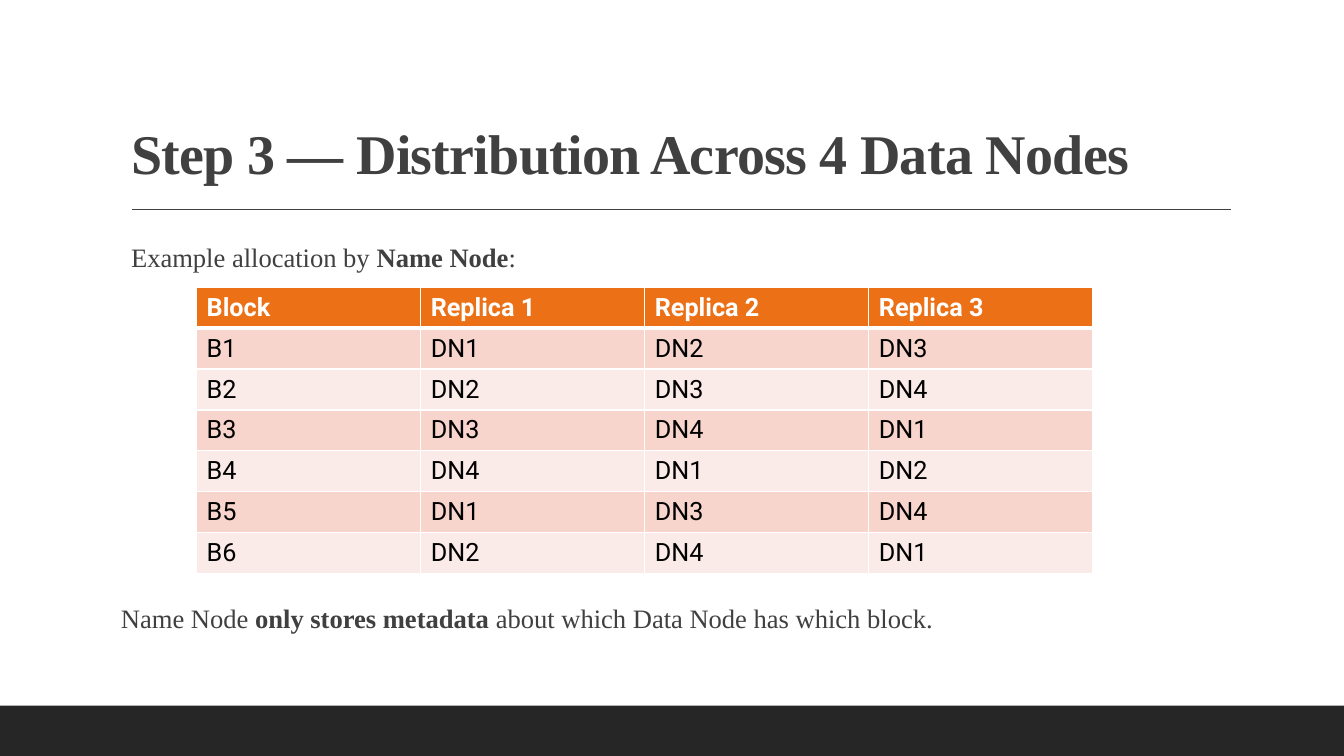
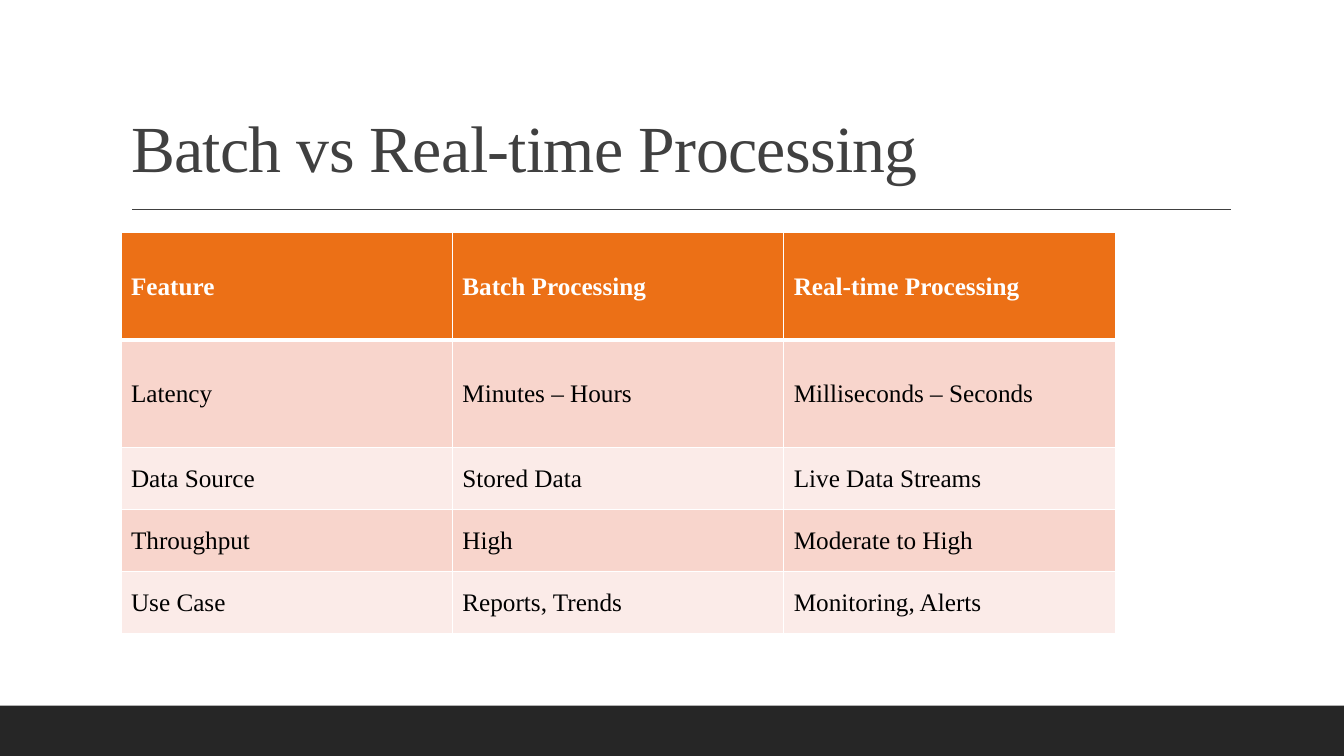
from lxml import etree
from pptx import Presentation
from pptx.dml.color import RGBColor
from pptx.enum.shapes import MSO_CONNECTOR, MSO_SHAPE
from pptx.enum.text import MSO_ANCHOR, MSO_AUTO_SIZE, PP_ALIGN
from pptx.oxml.ns import qn
from pptx.util import Inches, Pt

LEFT = PP_ALIGN.LEFT
TOP, MIDDLE, BOTTOM = MSO_ANCHOR.TOP, MSO_ANCHOR.MIDDLE, MSO_ANCHOR.BOTTOM
NO_AUTOFIT = MSO_AUTO_SIZE.NONE
RECTANGLE = MSO_SHAPE.RECTANGLE
STRAIGHT = MSO_CONNECTOR.STRAIGHT

WHITE = RGBColor(0xFF, 0xFF, 0xFF)
BLACK = RGBColor(0x00, 0x00, 0x00)
INK = RGBColor(0x40, 0x40, 0x40)
BAND = RGBColor(0x26, 0x26, 0x26)
ORANGE = RGBColor(0xEC, 0x70, 0x16)
STRIPES = (RGBColor(0xF8, 0xD5, 0xCC), RGBColor(0xFB, 0xEB, 0xE8))
SERIF, SANS = "Times New Roman", "Roboto"

WIDTH, HEIGHT = 13.33, 7.5
MARGIN, CONTENT_TOP, CONTENT_WIDTH = 1.2, 2.31, 11
TITLE_ONLY, TITLE_AND_BODY = 5, 1

SLIDES = [
    {
        "title": "Step 3 — Distribution Across 4 Data Nodes",
        "title_size": 40,
        "title_bold": True,
        "body": [
            {"runs": [("Example allocation by ", False), ("Name Node", True), (":", False)],
             "indent": 0.1, "before": 0},
            {"runs": [("Name Node ", False), ("only stores metadata", True),
                      (" about which Data Node has which block.", False)],
             "indent": 0, "before": 231},
        ],
        "table": [
            ("Block", "Replica 1", "Replica 2", "Replica 3"),
            ("B1", "DN1", "DN2", "DN3"),
            ("B2", "DN2", "DN3", "DN4"),
            ("B3", "DN3", "DN4", "DN1"),
            ("B4", "DN4", "DN1", "DN2"),
            ("B5", "DN1", "DN3", "DN4"),
            ("B6", "DN2", "DN4", "DN1"),
        ],
        "place": (1.95, 2.85, 8.89, 2.84),
        "row_shares": [1] * 7,
        "font": SANS,
    },
    {
        "title": "Batch vs Real-time Processing",
        "title_size": 47,
        "title_bold": False,
        "body": [],
        "table": [
            ("Feature", "Batch Processing", "Real-time Processing"),
            ("Latency", "Minutes – Hours", "Milliseconds – Seconds"),
            ("Data Source", "Stored Data", "Live Data Streams"),
            ("Throughput", "High", "Moderate to High"),
            ("Use Case", "Reports, Trends", "Monitoring, Alerts"),
        ],
        "place": (MARGIN, CONTENT_TOP, 9.86, 3.98),
        "row_shares": [1.07, 1.07, 0.62, 0.62, 0.62],
        "font": SERIF,
    },
]


def write(paragraph, runs, size, color, font=SERIF, line=1.0, before=0, after=0,
          indent=0, tracking=0):
    properties = paragraph._p.get_or_add_pPr()
    properties.set("marL", str(Inches(indent)))
    properties.set("indent", "0")
    etree.SubElement(properties, qn("a:buNone"))
    paragraph.alignment = LEFT
    paragraph.line_spacing = line
    paragraph.space_before, paragraph.space_after = Pt(before), Pt(after)
    for text, bold in runs:
        run = paragraph.add_run()
        run.text = text
        run.font.name, run.font.size, run.font.bold = font, Pt(size), bold
        run.font.color.rgb = color
        if tracking:
            run._r.get_or_add_rPr().set("spc", str(round(tracking * 100)))


def place_frame(placeholder, left, top, width, height, anchor):
    placeholder.left, placeholder.top = Inches(left), Inches(top)
    placeholder.width, placeholder.height = Inches(width), Inches(height)
    frame = placeholder.text_frame
    frame.word_wrap = True
    frame.auto_size = NO_AUTOFIT
    frame.vertical_anchor = anchor
    return frame


def add_frame_parts(slide):
    band = slide.shapes.add_shape(RECTANGLE, 0, Inches(HEIGHT - 0.5),
                                  Inches(WIDTH), Inches(0.5))
    band.shadow.inherit = False
    band.fill.solid()
    band.fill.fore_color.rgb = BAND
    band.line.fill.background()
    rule = slide.shapes.add_connector(STRAIGHT, Inches(1.31), Inches(2.08),
                                      Inches(12.21), Inches(2.08))
    rule.line.color.rgb = INK
    rule.line.width = Pt(1)
    etree.SubElement(rule._element.spPr, qn("a:effectLst"))


def add_title(slide, content):
    frame = place_frame(slide.shapes.title, MARGIN, 0.31, CONTENT_WIDTH, 1.59, BOTTOM)
    write(frame.paragraphs[0], [(content["title"], content["title_bold"])],
          content["title_size"], INK, line=0.9, tracking=-0.5)


def add_body(slide, items):
    frame = place_frame(slide.placeholders[1], MARGIN, CONTENT_TOP, CONTENT_WIDTH, 4.11, TOP)
    frame.margin_left = frame.margin_right = 0
    for index, item in enumerate(items):
        paragraph = frame.add_paragraph() if index else frame.paragraphs[0]
        write(paragraph, size=19, color=INK, line=1.1, after=2, **item)


def set_borders(cell, top, bottom):
    properties = cell._tc.get_or_add_tcPr()
    for side, width in (("L", 1), ("R", 1), ("T", top), ("B", bottom)):
        border = etree.SubElement(properties, qn(f"a:ln{side}"), w=str(Pt(width)))
        fill = etree.SubElement(border, qn("a:solidFill"))
        etree.SubElement(fill, qn("a:srgbClr"), val=str(WHITE))


def add_grid(slide, content):
    rows, shares = content["table"], content["row_shares"]
    left, top, width, height = content["place"]
    table = slide.shapes.add_table(len(rows), len(rows[0]), Inches(left), Inches(top),
                                   Inches(width), Inches(height)).table
    for column in table.columns:
        column.width = Inches(width / len(rows[0]))
    for row_index, row in enumerate(rows):
        header = row_index == 0
        table.rows[row_index].height = Inches(height * shares[row_index] / sum(shares))
        for column_index, text in enumerate(row):
            cell = table.cell(row_index, column_index)
            set_borders(cell, top=3 if row_index == 1 else 1, bottom=3 if header else 1)
            cell.fill.solid()
            cell.fill.fore_color.rgb = ORANGE if header else STRIPES[(row_index - 1) % 2]
            cell.vertical_anchor = MIDDLE
            write(cell.text_frame.paragraphs[0], [(text, header)], 18,
                  WHITE if header else BLACK, font=content["font"])


def main():
    presentation = Presentation()
    presentation.slide_width, presentation.slide_height = Inches(WIDTH), Inches(HEIGHT)
    for content in SLIDES:
        layout = TITLE_AND_BODY if content["body"] else TITLE_ONLY
        slide = presentation.slides.add_slide(presentation.slide_layouts[layout])
        add_frame_parts(slide)
        add_title(slide, content)
        if content["body"]:
            add_body(slide, content["body"])
        add_grid(slide, content)
    presentation.save("out.pptx")


if __name__ == "__main__":
    main()
